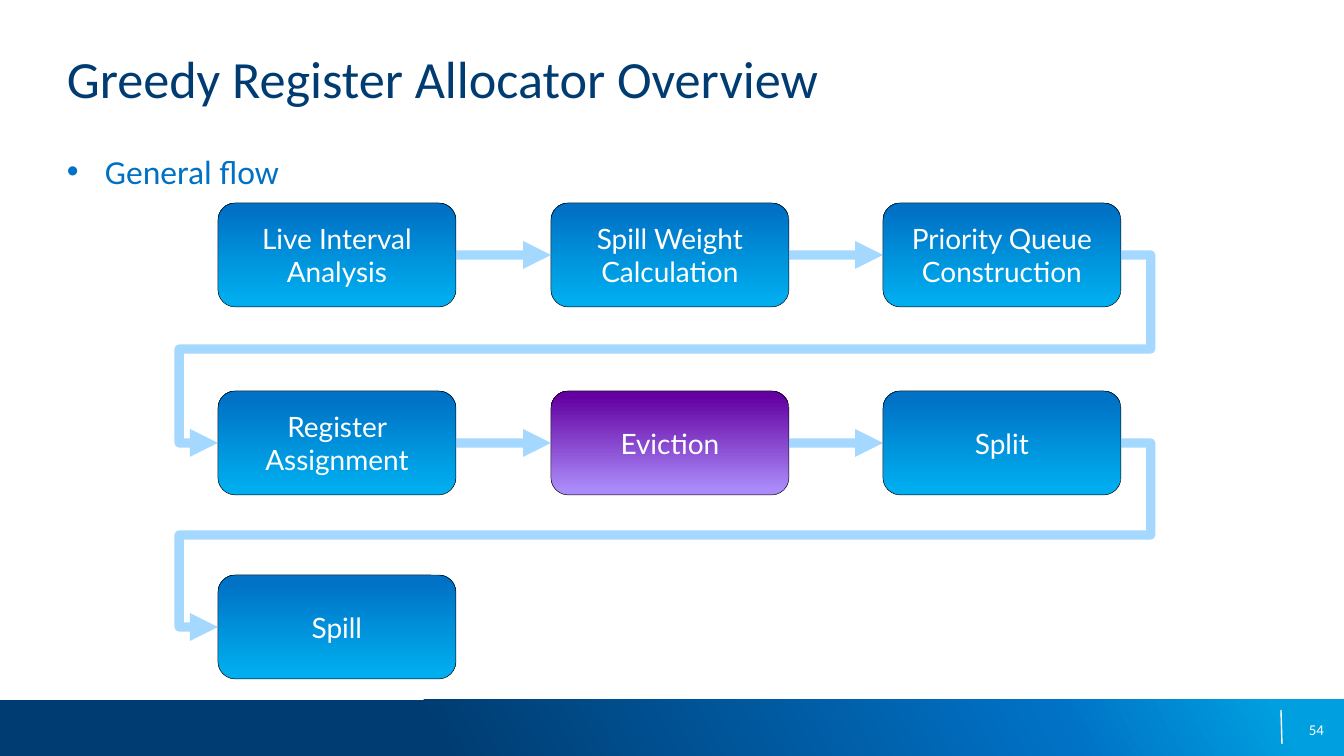
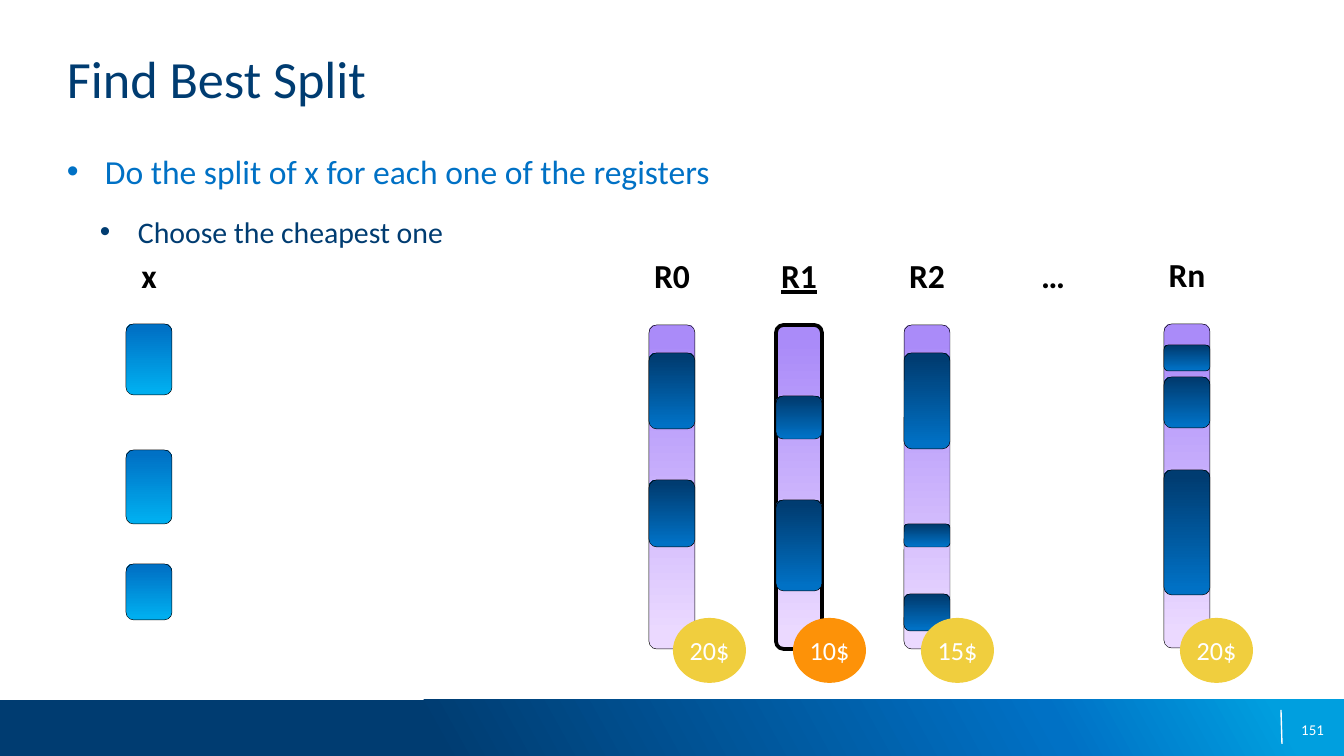
from copy import deepcopy
from dataclasses import dataclass
from typing import Any, NamedTuple, Optional

from lxml import etree
from pptx import Presentation
from pptx import util as u
from pptx.dml.color import RGBColor
from pptx.enum import shapes, text
from pptx.oxml.ns import qn

# Scale: all lengths are px, 1344 across a 10 inch page
EMU_PER_PX = 9144000 / 1344
PAGE_W, PAGE_H = 1344, 756

# Colours
WHITE = RGBColor(0xFF, 0xFF, 0xFF)
BLACK = RGBColor(0x00, 0x00, 0x00)
NAVY = RGBColor(0x00, 0x3C, 0x71)
BLUE = RGBColor(0x00, 0x71, 0xC5)
CYAN = RGBColor(0x00, 0x9F, 0xDF)
SKY = RGBColor(0x00, 0xAE, 0xEF)
PALE_BLUE = RGBColor(0x72, 0xC3, 0xFF)
LILAC = RGBColor(0xAA, 0x8B, 0xF9)
PALE_LILAC = RGBColor(0xEB, 0xD9, 0xFF)
PURPLE = RGBColor(0x64, 0x01, 0xA1)
YELLOW = RGBColor(0xF0, 0xCE, 0x3E)
ORANGE = RGBColor(0xFD, 0x92, 0x08)

# Gradients: (percent, colour) stops, from bottom to top
Stops = tuple[tuple[int, RGBColor], ...]
BAND_STOPS: Stops = ((32, NAVY), (78, BLUE), (95, CYAN))
BLUE_STOPS: Stops = ((5, SKY), (95, BLUE))
DARK_STOPS: Stops = ((5, BLUE), (95, NAVY))
PURPLE_STOPS: Stops = ((5, LILAC), (95, PURPLE))
BAR_STOPS: Stops = ((5, PALE_LILAC), (95, LILAC))

ROUNDED = shapes.MSO_SHAPE.ROUNDED_RECTANGLE
LEFT, CENTER, RIGHT = text.PP_ALIGN.LEFT, text.PP_ALIGN.CENTER, text.PP_ALIGN.RIGHT
TOP, MIDDLE = text.MSO_ANCHOR.TOP, text.MSO_ANCHOR.MIDDLE


class Area(NamedTuple):
    left: int
    top: int
    width: int
    height: int


class Style(NamedTuple):
    size: int
    color: RGBColor
    font: str = "Calibri"
    bold: bool = False
    underline: bool = False


class Bullet(NamedTuple):
    words: str
    style: Style
    margin: int


class Step(NamedTuple):
    words: str
    column: int
    row: int
    stops: Stops = BLUE_STOPS


class Block(NamedTuple):
    top: int
    height: int


@dataclass(frozen=True)
class Register:
    name: str
    left: int
    top: int
    blocks: tuple[Block, ...]
    cost: str
    badge_left: int
    chosen: bool = False


TITLE = Style(28, NAVY)
NUMBER = Style(8, WHITE)
STEP = Style(15, WHITE, "Lato")
LABEL = Style(18, BLACK, bold=True)
COST = Style(14, WHITE)
TOPIC = Style(18, BLUE)
SUBTOPIC = Style(16, NAVY)
HANG = 38


def px(length: float) -> u.Emu:
    return u.Emu(round(length * EMU_PER_PX))


def place(area: Area) -> list[u.Emu]:
    return [px(length) for length in area]


# Text
def setup_frame(box: Any, anchor: Any, inset_x: int = 0, inset_y: int = 0) -> Any:
    frame = box.text_frame
    frame.word_wrap = True
    frame.vertical_anchor = anchor
    frame.margin_left = frame.margin_right = px(inset_x)
    frame.margin_top = frame.margin_bottom = px(inset_y)
    return frame


def write(para: Any, words: str, style: Style, align: Any = LEFT) -> None:
    para.alignment = align
    span = para.add_run()
    span.text = words
    font = span.font
    font.size, font.name = u.Pt(style.size), style.font
    font.bold, font.underline = style.bold, style.underline
    font.color.rgb = style.color


def add_text(parent: Any, area: Area, words: str, style: Style,
             align: Any = LEFT, anchor: Any = TOP) -> Any:
    box = parent.add_textbox(*place(area))
    write(setup_frame(box, anchor).paragraphs[0], words, style, align)
    return box


def add_bullets(page: Any, bullets: list[Bullet]) -> None:
    box = page.shapes.add_textbox(*place(Area(67, 151, 1210, 504)))
    frame = setup_frame(box, TOP)
    for index, bullet in enumerate(bullets):
        para = frame.add_paragraph() if index else frame.paragraphs[0]
        para.level = index
        para.space_before = u.Pt(12)
        write(para, bullet.words, bullet.style)
        props = para._p.get_or_add_pPr()
        props.set("marL", str(px(bullet.margin)))
        props.set("indent", str(px(-HANG)))
        etree.SubElement(props, qn("a:buFont")).set("typeface", "Arial")
        etree.SubElement(props, qn("a:buChar")).set("char", "•")


# Shapes
def fill_gradient(shape: Any, stops: Stops, angle: int) -> None:
    shape.fill.gradient()
    shape.fill.gradient_angle = angle
    stop_list = next(shape.element.iter(qn("a:gsLst")))
    for _ in stops[2:]:
        stop_list.append(deepcopy(stop_list[-1]))
    for stop, (percent, color) in zip(shape.fill.gradient_stops, stops):
        stop.position = percent / 100
        stop.color.rgb = color


def add_rounded(parent: Any, area: Area, stops: Stops, outline: float = 0.25) -> Any:
    box = parent.add_shape(ROUNDED, *place(area))
    box.shadow.inherit = False
    fill_gradient(box, stops, 90)
    box.line.color.rgb = BLACK
    box.line.width = u.Pt(outline)
    return box


def add_line(page: Any, kind: Any, start: tuple[int, int], end: tuple[int, int],
             color: RGBColor, width: float) -> Any:
    line = page.shapes.add_connector(kind, *(px(v) for v in (*start, *end)))
    line.line.color.rgb = color
    line.line.width = u.Pt(width)
    etree.SubElement(line.element.spPr, qn("a:effectLst"))
    return line


def add_arrow(page: Any, kind: Any, start: tuple[int, int], end: tuple[int, int]) -> Any:
    arrow = add_line(page, kind, start, end, PALE_BLUE, 5)
    outline = arrow.element.spPr.find(qn("a:ln"))
    color = next(outline.iter(qn("a:srgbClr")))
    etree.SubElement(color, qn("a:alpha")).set("val", "63000")
    etree.SubElement(outline, qn("a:tailEnd")).set("type", "triangle")
    return arrow


def add_return_arrow(page: Any, start: tuple[int, int], end: tuple[int, int]) -> None:
    arrow = add_arrow(page, shapes.MSO_CONNECTOR.ELBOW, start, end)
    geometry = arrow.element.spPr.find(qn("a:prstGeom"))
    geometry.set("prst", "bentConnector5")
    guides = geometry.find(qn("a:avLst"))
    if guides is None:
        guides = etree.SubElement(geometry, qn("a:avLst"))
    for index, value in enumerate((-3300, 50000, 104300), start=1):
        guide = etree.SubElement(guides, qn("a:gd"))
        guide.set("name", f"adj{index}")
        guide.set("fmla", f"val {value}")


# What the pages share: band, number, title
def add_page(deck: Any, title: str, number: int, bullets: list[Bullet]) -> Any:
    page = deck.slides.add_slide(deck.slide_layouts[6])
    band = page.shapes.add_shape(shapes.MSO_SHAPE.RECTANGLE, *place(Area(0, 700, PAGE_W, 56)))
    band.shadow.inherit = False
    fill_gradient(band, BAND_STOPS, 29)
    band.line.fill.background()
    add_line(page, shapes.MSO_CONNECTOR.STRAIGHT, (1281, 710), (1282, 744), WHITE, 0.75)
    add_text(page.shapes, Area(1011, 710, 313, 40), str(number), NUMBER, RIGHT, MIDDLE)
    add_text(page.shapes, Area(67, 46, 1210, 98), title, TITLE)
    add_bullets(page, bullets)
    return page


# Flow of the allocator
STEP_LEFTS = (218, 551, 883)
STEP_TOPS = (203, 391, 575)
STEP_W, STEP_H = 238, 104
STEPS = [
    Step("Live Interval Analysis", 0, 0),
    Step("Spill Weight Calculation", 1, 0),
    Step("Priority Queue Construction", 2, 0),
    Step("Register Assignment", 0, 1),
    Step("Eviction", 1, 1, PURPLE_STOPS),
    Step("Split", 2, 1),
    Step("Spill", 0, 2),
]


def build_overview(deck: Any) -> None:
    page = add_page(deck, "Greedy Register Allocator Overview", 54,
                    [Bullet("General flow", TOPIC, HANG)])
    boxes = []
    for step in STEPS:
        area = Area(STEP_LEFTS[step.column], STEP_TOPS[step.row], STEP_W, STEP_H)
        box = add_rounded(page.shapes, area, step.stops)
        write(setup_frame(box, MIDDLE, 9, 5).paragraphs[0], step.words, STEP, CENTER)
        boxes.append(box)

    for index, (step, following) in enumerate(zip(STEPS, STEPS[1:])):
        start = (STEP_LEFTS[step.column] + STEP_W, STEP_TOPS[step.row] + STEP_H // 2)
        end = (STEP_LEFTS[following.column], STEP_TOPS[following.row] + STEP_H // 2)
        if step.row == following.row:
            arrow = add_arrow(page, shapes.MSO_CONNECTOR.STRAIGHT, start, end)
            arrow.begin_connect(boxes[index], 3)
            arrow.end_connect(boxes[index + 1], 1)
        else:
            add_return_arrow(page, start, end)


# Split costs per register
BAR_W, BAR_H = 46, 324
LIVE_LEFT, LIVE_TOP = 126, 325
LIVE_RANGES = (Block(324, 71), Block(450, 74), Block(564, 56))
REGISTERS = [
    Register("R0", 649, 325, (Block(353, 76), Block(480, 67)), "20$", 673),
    Register("R1", 776, 325, (Block(396, 43), Block(500, 91)), "10$", 793, True),
    Register("R2", 904, 325, (Block(353, 96), Block(524, 23), Block(594, 37)), "15$", 921),
    Register("Rn", 1164, 324, (Block(345, 26), Block(377, 51), Block(470, 125)), "20$", 1180),
]


def add_label(parent: Any, words: str, bar_left: int, bar_top: int,
              underline: bool = False) -> None:
    area = Area(bar_left - 3, bar_top - 70, BAR_W + 6, 41)
    box = add_text(parent, area, words, LABEL._replace(underline=underline), CENTER)
    box.text_frame.auto_size = text.MSO_AUTO_SIZE.SHAPE_TO_FIT_TEXT


def add_blocks(parent: Any, left: int, blocks: tuple[Block, ...], stops: Stops) -> None:
    for block in blocks:
        add_rounded(parent, Area(left, block.top, BAR_W, block.height), stops)


def add_badge(page: Any, register: Register) -> None:
    area = Area(register.badge_left, 618, 73, 65)
    badge = page.shapes.add_shape(shapes.MSO_SHAPE.FLOWCHART_CONNECTOR, *place(area))
    badge.shadow.inherit = False
    badge.fill.solid()
    badge.fill.fore_color.rgb = ORANGE if register.chosen else YELLOW
    badge.line.fill.background()
    write(setup_frame(badge, MIDDLE).paragraphs[0], register.cost, COST, CENTER)


def build_best_split(deck: Any) -> None:
    page = add_page(deck, "Find Best Split", 151, [
        Bullet("Do the split of x for each one of the registers", TOPIC, HANG),
        Bullet("Choose the cheapest one", SUBTOPIC, 71),
    ])
    live = page.shapes.add_group_shape().shapes
    add_label(live, "x", LIVE_LEFT, LIVE_TOP)
    add_blocks(live, LIVE_LEFT, LIVE_RANGES, BLUE_STOPS)

    for register in REGISTERS:
        bar = Area(register.left, register.top, BAR_W, BAR_H)
        add_rounded(page.shapes, bar, BAR_STOPS, 2 if register.chosen else 0.25)
        add_label(page.shapes, register.name, register.left, register.top, register.chosen)
        add_blocks(page.shapes, register.left, register.blocks, DARK_STOPS)
        add_badge(page, register)
    add_label(page.shapes, "…", 1030, 325)


def main() -> None:
    deck = Presentation()
    deck.slide_width, deck.slide_height = px(PAGE_W), px(PAGE_H)
    build_overview(deck)
    build_best_split(deck)
    deck.save("out.pptx")


if __name__ == "__main__":
    main()
